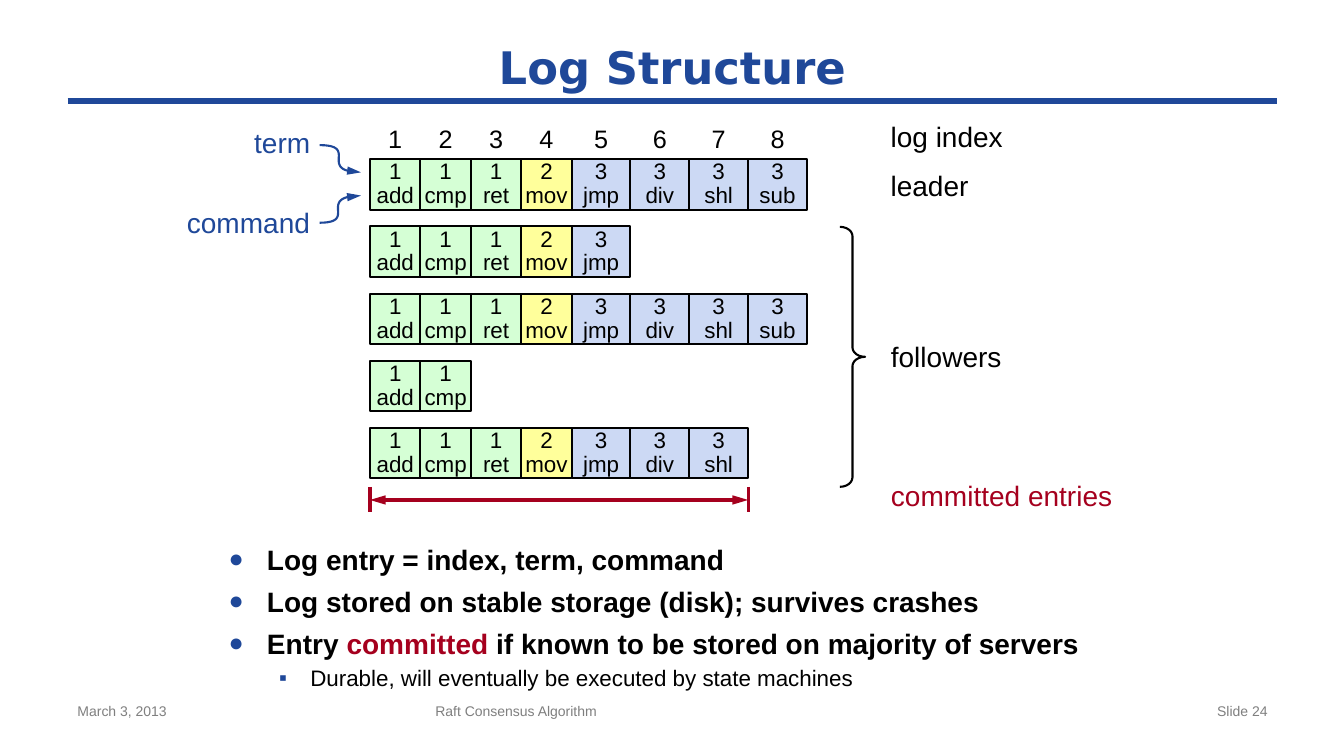
from lxml import etree
from pptx import Presentation
from pptx.dml.color import RGBColor
from pptx.enum.shapes import MSO_CONNECTOR as Conn, MSO_SHAPE as Shape
from pptx.enum.text import MSO_ANCHOR as Anchor, PP_ALIGN as Align
from pptx.oxml.ns import qn
from pptx.util import Inches, Pt

# Content
BLUE, RED, BLACK, GREY = "1F4899", "A5001E", "000000", "7F7F7F"
TERMS = {1: "D5FFD5", 2: "FFFF9B", 3: "CCD9F4"}
LOG = [(1, "add"), (1, "cmp"), (1, "ret"), (2, "mov"),
       (3, "jmp"), (3, "div"), (3, "shl"), (3, "sub")]
SIZES = [8, 5, 8, 2, 7]  # entries held by the leader, then by each follower
DONE = 7  # committed entries

LABELS = [  # text, left, top, width, colour
    ("log index", 8.83, 1.19, 1.12, BLACK),
    ("leader", 8.83, 1.67, 0.78, BLACK),
    ("followers", 8.83, 3.37, 1.11, BLACK),
    ("committed entries", 8.83, 4.75, 2.21, RED),
    ("term", 2.52, 1.25, 0.56, BLUE),
    ("command", 1.85, 2.04, 1.23, BLUE),
]
CURVES = [  # start, two control points, end
    [(3.17, 1.44), (3.57, 1.44), (3.14, 1.7), (3.58, 1.71)],
    [(3.17, 2.21), (3.56, 2.21), (3.13, 1.95), (3.58, 1.94)],
]
BULLETS = [  # level, runs of text and colour
    (0, [("Log entry = index, term, command", BLACK)]),
    (0, [("Log stored on stable storage (disk); survives crashes", BLACK)]),
    (0, [("Entry ", BLACK), ("committed", RED),
         (" if known to be stored on majority of servers", BLACK)]),
    (1, [("Durable, will eventually be executed by state machines", BLACK)]),
]
LEVELS = [  # size, bold, margin, indent, space before, mark, mark size
    (20, True, 0.38, -0.38, 6, "●", 90),
    (16, False, 0.81, -0.31, 3, "▪", 100),
]
FOOTER = [("March 3, 2013", 0.67, 3.11, Align.LEFT),
          ("Raft Consensus Algorithm", 4.22, 5, Align.LEFT),
          ("Slide 24", 9.56, 3.11, Align.RIGHT)]

# Log grid
LEFT, TOP, HIGH, PITCH = 3.67, 1.58, 0.5, 2 / 3
WIDTHS = [0.5] * 4 + [7 / 12] * 4
EDGES = [LEFT + sum(WIDTHS[:i]) for i in range(len(WIDTHS) + 1)]

prs = Presentation()
prs.slide_width, prs.slide_height = Inches(13.33), Inches(7.5)
slide = prs.slides.add_slide(prs.slide_layouts[6])
shapes = slide.shapes


def color(code):
    return RGBColor.from_string(code)


def style(run, size, code, bold=False, face="Arial"):
    font = run.font
    font.size, font.bold, font.name = Pt(size), bold, face
    font.color.rgb = color(code)


def child(parent, tag, **attrs):
    node = etree.SubElement(parent, qn(tag))
    for key, value in attrs.items():
        node.set(key, str(value))
    return node


def write(shape, text, size, code, align=Align.LEFT, flush=False,
          wrap=True, **looks):
    frame = shape.text_frame
    frame.word_wrap = wrap
    if flush:
        frame.margin_left = frame.margin_right = 0
        frame.margin_top = frame.margin_bottom = 0
    frame.text = text
    para = frame.paragraphs[0]
    para.alignment = align
    for run in para.runs:
        style(run, size, code, **looks)
    return frame


def box(x, y, w, h):
    return shapes.add_textbox(Inches(x), Inches(y), Inches(w), Inches(h))


def ink(shape, code, width, heads=()):
    shape.line.color.rgb = color(code)
    shape.line.width = Pt(width)
    for end in heads:
        child(shape.line._get_or_add_ln(), end,
              type="triangle", w="med", len="lg")


def rule(x1, y1, x2, y2, code, width, heads=()):
    line = shapes.add_connector(Conn.STRAIGHT, Inches(x1), Inches(y1),
                                Inches(x2), Inches(y2))
    ink(line, code, width, heads)
    child(line._element.spPr, "a:effectLst")


def curve(points, steps=24):
    dots = []
    for i in range(steps + 1):
        t = i / steps
        parts = [(1 - t) ** 3, 3 * t * (1 - t) ** 2,
                 3 * t * t * (1 - t), t ** 3]
        dots.append(tuple(Inches(sum(k * p[axis] for k, p in zip(parts, points)))
                          for axis in (0, 1)))
    path = shapes.build_freeform(*dots[0])
    path.add_line_segments(dots[1:], close=False)
    shape = path.convert_to_shape()
    shape.shadow.inherit = False
    shape.fill.background()
    ink(shape, BLUE, 1.5, ["a:tailEnd"])


# Title and rule
rule(0.67, 1, 12.67, 1, BLUE, 4)
title = write(box(0.67, 0.33, 12, 0.67), "Log Structure", 32, BLUE,
              Align.CENTER, bold=True, face="DejaVu Sans")
title.vertical_anchor = Anchor.MIDDLE

# Index numbers
for i, wide in enumerate(WIDTHS):
    write(box(EDGES[i], 1.17, wide, 0.4), str(i + 1), 18, BLACK, Align.CENTER)

# Logs of the leader and the followers
for row, size in enumerate(SIZES):
    for i, (term, order) in enumerate(LOG[:size]):
        cell = shapes.add_shape(Shape.RECTANGLE, Inches(EDGES[i]),
                                Inches(TOP + row * PITCH),
                                Inches(WIDTHS[i]), Inches(HIGH))
        cell.shadow.inherit = False
        cell.fill.solid()
        cell.fill.fore_color.rgb = color(TERMS[term])
        ink(cell, BLACK, 1.5)
        frame = write(cell, f"{term}\v{order}", 16, BLACK, Align.CENTER, True)
        frame.vertical_anchor = Anchor.MIDDLE
        frame.paragraphs[0].line_spacing = Pt(17)

# Brace around the followers
brace = shapes.add_shape(Shape.RIGHT_BRACE, Inches(8.33), Inches(2.25),
                         Inches(0.25), Inches(2.58))
brace.adjustments[0], brace.adjustments[1] = 0.372, 0.5
brace.shadow.inherit = False
brace.fill.background()
ink(brace, BLACK, 1.5)

# Span of committed entries
for x in (LEFT, EDGES[DONE]):
    rule(x, 4.83, x, 5.08, RED, 2.25)
rule(LEFT, 4.96, EDGES[DONE], 4.96, RED, 2.25, ["a:headEnd", "a:tailEnd"])

# Labels and their arrows
for text, x, y, wide, code in LABELS:
    write(box(x, y, wide, 0.34), text, 20, code, Align.CENTER, True, False)
for points in CURVES:
    curve(points)

# Bullets
body = box(2.17, 5.33, 9, 1.58).text_frame
body.word_wrap = True
for i, (level, runs) in enumerate(BULLETS):
    size, bold, margin, indent, space, mark, scale = LEVELS[level]
    para = body.add_paragraph() if i else body.paragraphs[0]
    para.level = level
    props = para._p.get_or_add_pPr()
    props.set("marL", str(Inches(margin)))
    props.set("indent", str(Inches(indent)))
    child(child(props, "a:buClr"), "a:srgbClr", val=BLUE)
    child(props, "a:buSzPct", val=scale * 1000)
    child(props, "a:buFont", typeface="Arial")
    child(props, "a:buChar", char=mark)
    if i:
        para.space_before = Pt(space)
    for text, code in runs:
        run = para.add_run()
        run.text = text
        style(run, size, code, bold)

# Footer
for text, x, wide, align in FOOTER:
    write(box(x, 6.92, wide, 0.43), text, 10, GREY, align)

prs.save("out.pptx")
